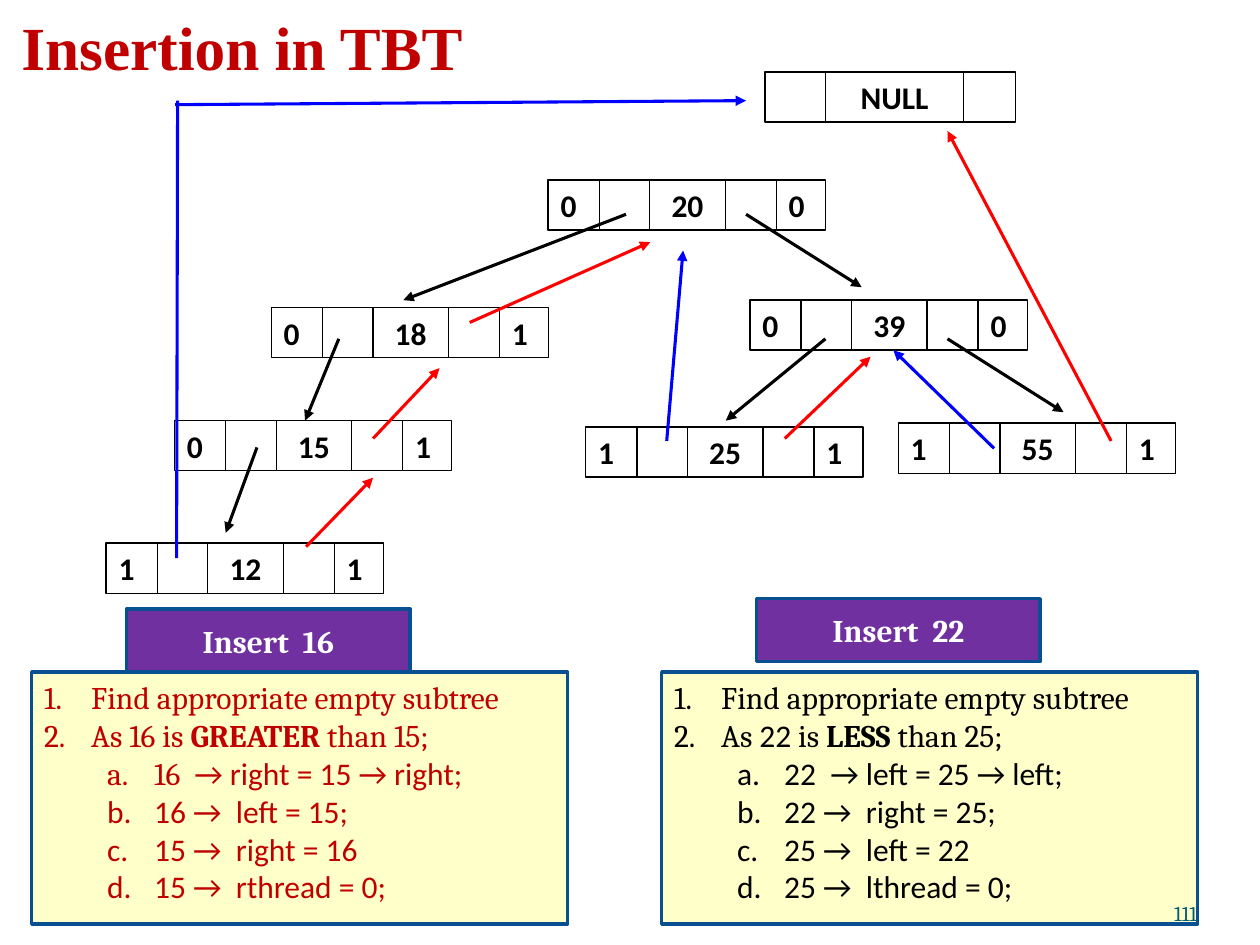
from lxml.etree import SubElement
from pptx import Presentation
from pptx.dml.color import RGBColor
from pptx.enum.shapes import MSO_CONNECTOR, MSO_SHAPE
from pptx.enum.text import MSO_ANCHOR, PP_ALIGN
from pptx.oxml.ns import qn
from pptx.util import Cm, Pt

BLACK, RED, BLUE, WHITE = "000000", "FF0000", "0000FF", "FFFFFF"
CRIMSON, NAVY, PURPLE, YELLOW, TEAL = "C00000", "085091", "7030A0", "FFFF99", "045C75"
BODY, SANS = "Cambria", "Calibri"

# Key, left, top, left thread flag, right thread flag
NODES = [
    ("20", 11.05, 3.63, "0", "0"),
    ("18", 5.47, 6.2, "0", "1"),
    ("39", 15.12, 6.05, "0", "0"),
    ("15", 3.52, 8.48, "0", "1"),
    ("12", 2.14, 10.95, "1", "1"),
    ("25", 11.81, 8.61, "1", "1"),
    ("55", 18.11, 8.53, "1", "1"),
]
CHILDREN = [
    (12.62, 4.32, 8.13, 6.05), (6.83, 6.83, 6.15, 8.48), (5.18, 9.02, 4.55, 10.74),
    (16.64, 6.83, 14.63, 8.48), (15.04, 4.32, 17.37, 5.79), (19.1, 6.83, 21.44, 8.31),
]
RIGHT_THREADS = [
    (9.47, 6.5, 13.11, 4.88), (7.52, 8.84, 8.86, 7.42), (6.17, 11.02, 7.52, 9.63),
    (15.82, 8.84, 17.55, 7.19), (22.4, 8.89, 19.1, 2.64),
]
LEFT_THREADS = [
    (20.04, 9.04, 18.01, 7.06), (13.44, 8.89, 13.77, 5.05), (3.53, 2.11, 15.04, 2.03),
]
ROW = 1.01


def color(code):
    return RGBColor.from_string(code)


def add_run(para, text, size, font, code, bold=False):
    run = para.add_run()
    run.text = text
    run.font.size, run.font.name, run.font.bold = Pt(size), font, bold
    run.font.color.rgb = color(code)


def add_rect(slide, left, top, width, height, fill, line, weight):
    rect = slide.shapes.add_shape(
        MSO_SHAPE.RECTANGLE, Cm(left), Cm(top), Cm(width), Cm(height))
    rect.shadow.inherit = False
    rect.fill.solid()
    rect.fill.fore_color.rgb = color(fill)
    rect.line.color.rgb = color(line)
    rect.line.width = Pt(weight)
    rect.text_frame.vertical_anchor = MSO_ANCHOR.TOP
    return rect


def add_cell(slide, left, top, width, text="", align=PP_ALIGN.LEFT):
    cell = add_rect(slide, left, top, width, ROW, WHITE, BLACK, 0.75)
    if text:
        para = cell.text_frame.paragraphs[0]
        para.alignment = align
        add_run(para, text, 18, SANS, BLACK, True)


def add_node(slide, left, top, key, lflag, rflag):
    """Flag, link, key, link, flag; each cell covers the tail of the one before."""
    add_cell(slide, left, top, 1.96, lflag)
    add_cell(slide, left + 1.03, top, 1.96)
    add_cell(slide, left + 2.05, top, 1.52, key, PP_ALIGN.CENTER)
    add_cell(slide, left + 4.6, top, 0.99, rflag, PP_ALIGN.JUSTIFY)
    add_cell(slide, left + 3.57, top, 1.03)


def add_null(slide, left, top):
    add_cell(slide, left, top, 1.96)
    add_cell(slide, left + 1.22, top, 2.79, "NULL", PP_ALIGN.CENTER)
    add_cell(slide, left + 4.01, top, 1.04)


def add_link(slide, x1, y1, x2, y2, code, head=True):
    link = slide.shapes.add_connector(
        MSO_CONNECTOR.STRAIGHT, Cm(x1), Cm(y1), Cm(x2), Cm(y2))
    link.line.color.rgb = color(code)
    link.line.width = Pt(1.75)
    if head:
        SubElement(link.line._get_or_add_ln(), qn("a:tailEnd"), type="triangle")
    SubElement(link._element.spPr, qn("a:effectLst"))


def add_tree(slide, left, top):
    def add_links(links, code):
        for x1, y1, x2, y2 in links:
            add_link(slide, left + x1, top + y1, left + x2, top + y2, code)

    for key, x, y, lflag, rflag in NODES:
        add_node(slide, left + x, top + y, key, lflag, rflag)
    add_links(CHILDREN, BLACK)
    add_null(slide, left + 15.42, top + 1.45)
    add_links(RIGHT_THREADS, RED)
    add_link(slide, left + 3.56, top + 11.25, left + 3.58, top + 2.03, BLUE, False)
    add_links(LEFT_THREADS, BLUE)


def add_number(para, level, code):
    props = para._p.get_or_add_pPr()
    props.set("marL", str(Cm(2.22 if level else 0.95)))
    props.set("indent", str(Cm(-0.95)))
    para.level = level
    SubElement(SubElement(props, qn("a:buClr")), qn("a:srgbClr"), val=code)
    kind = "alphaLcPeriod" if level else "arabicPeriod"
    SubElement(props, qn("a:buAutoNum"), type=kind)


def add_steps(slide, left, top, rise, title, steps, code):
    """A titled box of numbered steps; rise is the title's height above the box."""
    label = add_rect(slide, left + 1.91, top - rise, 5.72, 1.27, PURPLE, NAVY, 2)
    label.text_frame.vertical_anchor = MSO_ANCHOR.MIDDLE
    para = label.text_frame.paragraphs[0]
    para.alignment = PP_ALIGN.CENTER
    add_run(para, title, 18, BODY, WHITE, True)

    box = add_rect(slide, left, top, 10.8, 5.08, YELLOW, NAVY, 2)
    tint = box.fill._xPr.find(qn("a:solidFill"))[0]
    SubElement(tint, qn("a:alpha"), val="52000")
    frame = box.text_frame
    for index, (level, runs) in enumerate(steps):
        para = frame.add_paragraph() if index else frame.paragraphs[0]
        para.alignment = PP_ALIGN.LEFT
        add_number(para, level, code)
        for text, font, bold in runs:
            add_run(para, text, 18, font, code, bold)


def add_text(slide, left, top, width, height, text, size, font, code, bold, align):
    frame = slide.shapes.add_textbox(
        Cm(left), Cm(top), Cm(width), Cm(height)).text_frame
    frame.word_wrap = True
    frame.vertical_anchor = MSO_ANCHOR.BOTTOM
    frame.margin_left = frame.margin_right = frame.margin_top = frame.margin_bottom = 0
    frame.paragraphs[0].alignment = align
    add_run(frame.paragraphs[0], text, size, font, code, bold)


def plain(level, text, font=SANS):
    return level, [(text, font, False)]


FIND = plain(0, "Find appropriate empty subtree", BODY)
STEPS_16 = [
    FIND,
    (0, [("As 16 is ", BODY, False), ("GREATER", BODY, True), (" than 15;", BODY, False)]),
    (1, [("16  ", BODY, False), ("→ right = 15 → right;", SANS, False)]),
    plain(1, "16 →  left = 15;"),
    plain(1, "15 →  right = 16"),
    plain(1, "15 →  rthread = 0;"),
]
STEPS_22 = [
    FIND,
    (0, [("As ", BODY, False), ("22", SANS, False), (" is ", BODY, False),
         ("LESS", BODY, True), (" than 25;", BODY, False)]),
    plain(1, "22  → left = 25 → left;"),
    plain(1, "22 →  right = 25;"),
    plain(1, "25 →  left = 22"),
    plain(1, "25 →  lthread = 0;"),
]


def main():
    deck = Presentation()
    deck.slide_width, deck.slide_height = Cm(25.4), Cm(19.05)
    slide = deck.slides.add_slide(deck.slide_layouts[6])
    add_text(slide, 0.43, 0.2, 22.86, 1.47, "Insertion in TBT", 35,
             "Times New Roman", CRIMSON, True, PP_ALIGN.LEFT)
    add_tree(slide, 0, 0)
    add_steps(slide, 0.64, 13.55, 1.27, "Insert  16", STEPS_16, CRIMSON)
    add_steps(slide, 13.34, 13.55, 1.48, "Insert  22", STEPS_22, BLACK)
    add_text(slide, 22.02, 17.65, 2.11, 1.02, "111", 12, BODY, TEAL, False,
             PP_ALIGN.RIGHT)
    deck.save("out.pptx")


if __name__ == "__main__":
    main()
